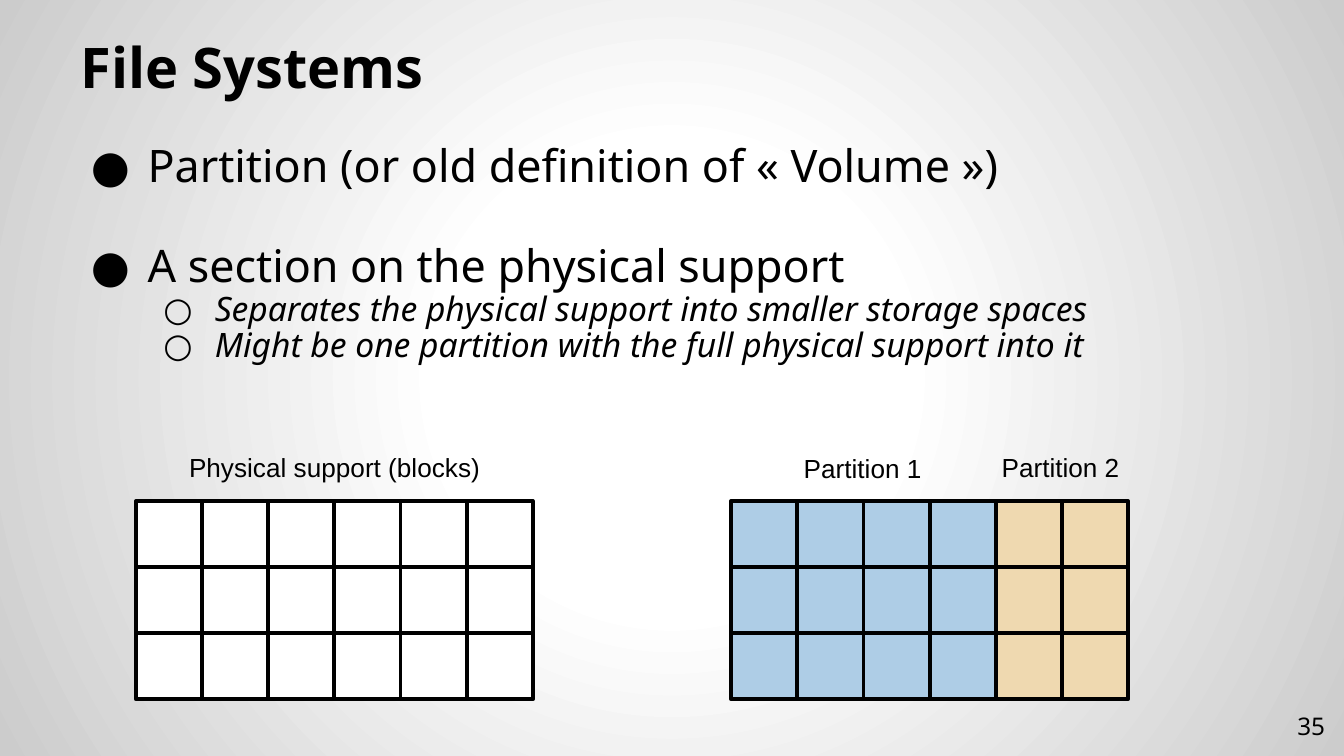
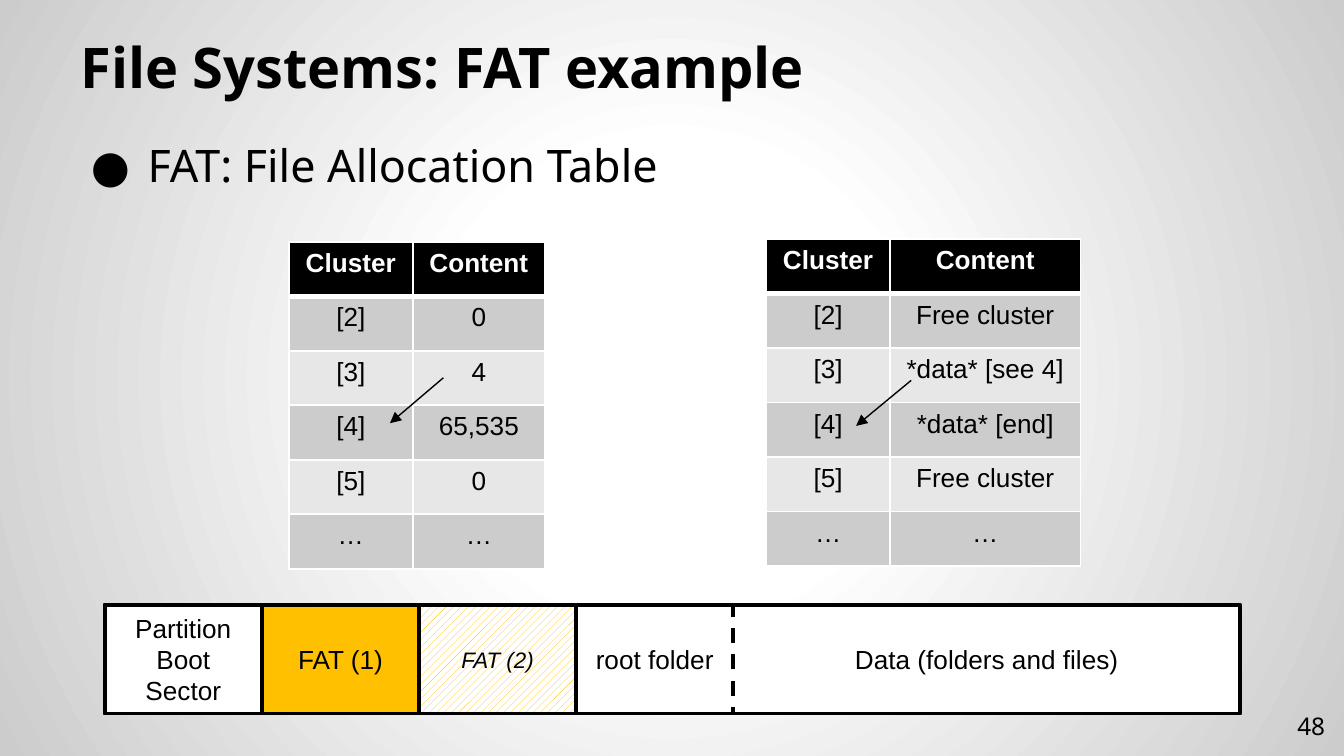
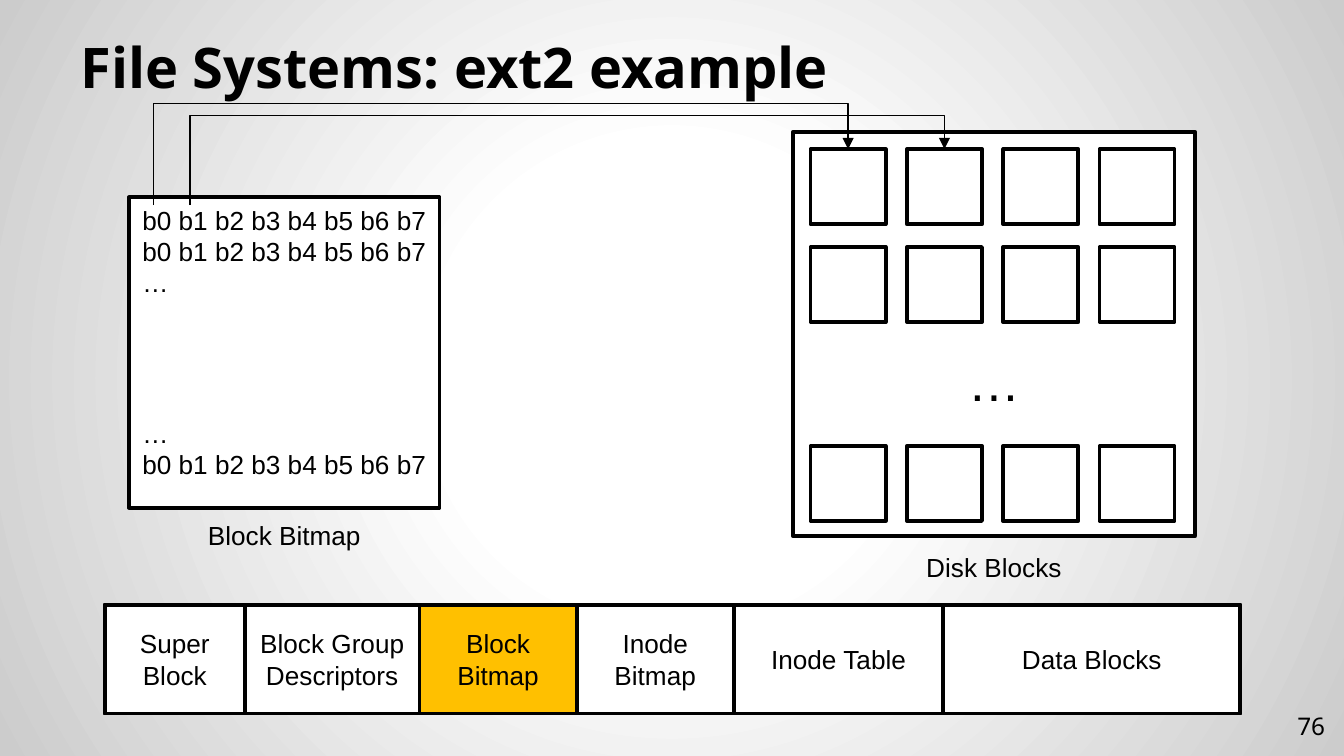
from lxml.etree import SubElement
from pptx import Presentation
from pptx.dml.color import RGBColor
from pptx.enum.dml import MSO_LINE, MSO_PATTERN
from pptx.enum.shapes import MSO_CONNECTOR, MSO_SHAPE
from pptx.enum.text import MSO_ANCHOR, PP_ALIGN
from pptx.oxml.ns import qn
from pptx.util import Cm, Pt

COLORS = {
    "ink": "000000", "paper": "FFFFFF", "edge": "CCCCCC",
    "blue": "AECDE6", "sand": "EFD9B0", "amber": "FFC000",
    "odd row": "CCCCCC", "even row": "E7E7E7",
}
HEADING_FONT, LABEL_FONT = "Noto Sans", "Arial"

# Level, text, space before in points
PARTITION_POINTS = [
    (0, "Partition (or old definition of « Volume »)", 0),
    (0, "A section on the physical support", 28),
    (1, "Separates the physical support into smaller storage spaces", 0),
    (1, "Might be one partition with the full physical support into it", 0),
]
FAT_POINTS = [(0, "FAT: File Allocation Table", 0)]
# Bullet, size, left margin, hanging indent, italic
LEVELS = [("●", 24, 1.27, 1.07, False), ("○", 18, 2.54, 0.97, True)]

# Left edge, fill of each column
BLOCK_GRIDS = [
    (2.57, ["paper"] * 6),
    (13.82, ["blue"] * 4 + ["sand"] * 2),
]
GRID_TOP, GRID_ROWS, CELL = 9.47, 3, 1.25
GRID_LABELS = [
    ("Physical support (blocks)", 2.59, 8.41, 7.47),
    ("Partition 1", 14.12, 8.43, 4.37),
    ("Partition 2", 17.86, 8.41, 4.37),
]

CLUSTERS = ["[2]", "[3]", "[4]", "[5]", "…"]
FAT_TABLES = [
    {"at": (5.46, 4.57), "widths": (2.34, 2.5),
     "content": ["0", "4", "65,535", "0", "…"],
     "arrow": (8.38, 7.14, 7.37, 8.0)},
    {"at": (14.48, 4.52), "widths": (2.34, 3.6),
     "content": ["Free cluster", "*data* [see 4]", "*data* [end]", "Free cluster", "…"],
     "arrow": (17.22, 7.19, 16.18, 8.05)},
]
TABLE_ROW = 1.03

# Text, width, look
FAT_LAYOUT = [
    ("Partition Boot Sector", 2.97, "plain"),
    ("FAT (1)", 2.97, "current"),
    ("FAT (2)", 2.97, "copy"),
    ("root folder", 2.97, "open"),
    ("Data (folders and files)", 9.58, "borderless"),
]
EXT2_LAYOUT = [
    ("Super Block", 2.65, "plain"),
    ("Block Group Descriptors", 3.3, "plain"),
    ("Block Bitmap", 2.97, "current"),
    ("Inode Bitmap", 2.97, "plain"),
    ("Inode Table", 3.96, "plain"),
    ("Data Blocks", 5.61, "plain"),
]
LAYOUT_LEFT, LAYOUT_TOP, LAYOUT_HEIGHT = 1.98, 11.43, 2.06

BITS = "b0 b1 b2 b3 b4 b5 b6 b7"
# Text, space before in points
BITMAP_LINES = [(BITS, 0), (BITS, 0), ("…", 0), ("…", 64), (BITS, 0)]
BITMAP_AT = (2.44, 3.73, 5.87, 5.87)
DISK_AT = (14.99, 2.49, 7.59, 7.65)
DISK_LEFT, DISK_PITCH, DISK_BLOCK = 15.32, 1.82, 1.42
DISK_ROW_TOPS, DISK_COLUMNS = [2.82, 4.67, 8.43], 4
BIT_TOP = 3.88
# x of the bit, height at which its arrow turns
BIT_ARROWS = [(2.9, 1.96), (3.59, 2.19)]


def rgb(name):
    return RGBColor.from_string(COLORS[name])


def add_text(paragraph, text, size, font=LABEL_FONT, color="ink", bold=False, italic=False):
    run = paragraph.add_run()
    run.text = text
    run.font.size, run.font.name = Pt(size), font
    run.font.bold, run.font.italic = bold, italic
    run.font.color.rgb = rgb(color)


def add_frame(shapes, at, anchor=MSO_ANCHOR.TOP, inset=None):
    """Add a wrapping text box and return its text frame."""
    frame = shapes.add_textbox(*map(Cm, at)).text_frame
    frame.word_wrap = True
    frame.vertical_anchor = anchor
    if inset is not None:
        frame.margin_left = frame.margin_right = Cm(inset)
        frame.margin_top = frame.margin_bottom = Cm(inset)
    return frame


def add_label(shapes, text, at, size=14):
    paragraph = add_frame(shapes, at).paragraphs[0]
    paragraph.alignment = PP_ALIGN.CENTER
    add_text(paragraph, text, size)


def add_box(shapes, at, fill="paper", line=True):
    box = shapes.add_shape(MSO_SHAPE.RECTANGLE, *map(Cm, at))
    box.shadow.inherit = False
    if fill:
        box.fill.solid()
        box.fill.fore_color.rgb = rgb(fill)
    else:
        box.fill.background()
    if line:
        box.line.color.rgb = rgb("ink")
        box.line.width = Pt(2)
    else:
        box.line.fill.background()
    return box


def add_arrow(slide, ends, kind=MSO_CONNECTOR.STRAIGHT):
    arrow = slide.shapes.add_connector(kind, *map(Cm, ends))
    arrow.line.color.rgb = rgb("ink")
    arrow.line.width = Pt(0.75)
    properties = arrow.element.spPr
    SubElement(properties.find(qn("a:ln")), qn("a:tailEnd"), type="triangle")
    SubElement(properties, qn("a:effectLst"))
    return arrow


def add_over_arrow(slide, start_x, start_y, end_x, end_y, turn_y):
    """Draw an arrow that rises to turn_y, runs across and drops to its end."""
    arrow = add_arrow(slide, (start_x, start_y, end_x, end_y), MSO_CONNECTOR.ELBOW)
    geometry = arrow.element.spPr.find(qn("a:prstGeom"))
    geometry.set("prst", "bentConnector4")
    guides = geometry.find(qn("a:avLst"))
    if guides is None:
        guides = SubElement(geometry, qn("a:avLst"))
    rise = round((start_y - turn_y) / (start_y - end_y) * 100000)
    for name, value in (("adj1", 0), ("adj2", rise)):
        SubElement(guides, qn("a:gd"), name=name, fmla=f"val {value}")


def set_background(master):
    master.background.fill.gradient()
    gradient = master.element.find(".//" + qn("p:bg")).find(".//" + qn("a:gradFill"))
    for part in list(gradient):
        gradient.remove(part)
    stops = SubElement(gradient, qn("a:gsLst"))
    for percent, color in ((0, "paper"), (30, "paper"), (100, "edge")):
        stop = SubElement(stops, qn("a:gs"), pos=str(percent * 1000))
        SubElement(stop, qn("a:srgbClr"), val=COLORS[color])
    circle = SubElement(gradient, qn("a:path"), path="circle")
    SubElement(circle, qn("a:fillToRect"), l="50000", t="50000", r="50000", b="50000")


def add_slide(deck, title, number):
    slide = deck.slides.add_slide(deck.slide_layouts[6])
    heading = add_frame(slide.shapes, (1.27, 0.58, 22.86, 1.57), MSO_ANCHOR.BOTTOM, 0.25)
    heading.paragraphs[0].line_spacing = 0.9
    add_text(heading.paragraphs[0], title, 30, HEADING_FONT, bold=True)
    footer = add_frame(slide.shapes, (23.77, 13.18, 1.52, 1.09), MSO_ANCHOR.MIDDLE, 0.25)
    footer.paragraphs[0].alignment = PP_ALIGN.RIGHT
    add_text(footer.paragraphs[0], str(number), 13, HEADING_FONT)
    return slide


def add_points(slide, points):
    frame = add_frame(slide.shapes, (1.27, 2.46, 22.86, 11.2), inset=0.25)
    for index, (level, text, space) in enumerate(points):
        bullet, size, margin, hanging, italic = LEVELS[level]
        paragraph = frame.add_paragraph() if index else frame.paragraphs[0]
        paragraph.level = level
        paragraph.line_spacing = 0.9
        paragraph.space_before = Pt(space)
        properties = paragraph._p.get_or_add_pPr()
        properties.set("marL", str(Cm(margin)))
        properties.set("indent", str(-Cm(hanging)))
        color = SubElement(properties, qn("a:buClr"))
        SubElement(color, qn("a:srgbClr"), val=COLORS["ink"])
        SubElement(properties, qn("a:buFont"), typeface=HEADING_FONT)
        SubElement(properties, qn("a:buChar"), char=bullet)
        add_text(paragraph, text, size, HEADING_FONT, italic=italic)


def add_layout(slide, areas):
    """Draw the areas of a partition side by side inside one frame."""
    shapes = slide.shapes.add_group_shape().shapes
    total = sum(width for _, width, _ in areas)
    right = LAYOUT_LEFT + total
    # From right to left, so that a solid edge covers a dashed one
    for text, width, look in reversed(areas):
        right -= width
        box = add_box(shapes, (right, LAYOUT_TOP, width, LAYOUT_HEIGHT),
                      "amber" if look == "current" else "paper", look != "borderless")
        if look == "copy":
            box.fill.patterned()
            box.fill.pattern = MSO_PATTERN.WIDE_UPWARD_DIAGONAL
            box.fill.fore_color.rgb = rgb("amber")
            box.fill.back_color.rgb = rgb("paper")
        elif look == "open":
            box.line.dash_style = MSO_LINE.DASH
        box.text_frame.word_wrap = True
        box.text_frame.vertical_anchor = MSO_ANCHOR.MIDDLE
        paragraph = box.text_frame.paragraphs[0]
        paragraph.alignment = PP_ALIGN.CENTER
        add_text(paragraph, text, 12 if look == "copy" else 14, italic=look == "copy")
    add_box(shapes, (LAYOUT_LEFT, LAYOUT_TOP, total, LAYOUT_HEIGHT), fill=None)


def style_cell(cell, fill, header_edge):
    """Fill a cell and give it white edges; header_edge names its thick side."""
    properties = cell._tc.get_or_add_tcPr()
    for side in ("lnL", "lnR", "lnT", "lnB"):
        width = Pt(3 if side == header_edge else 1)
        edge = SubElement(properties, qn("a:" + side), w=str(width))
        SubElement(SubElement(edge, qn("a:solidFill")), qn("a:srgbClr"), val=COLORS["paper"])
    cell.fill.solid()
    cell.fill.fore_color.rgb = rgb(fill)


def add_fat_table(slide, at, widths, content):
    rows = [("Cluster", "Content"), *zip(CLUSTERS, content)]
    size = (sum(widths), TABLE_ROW * len(rows))
    table = slide.shapes.add_table(len(rows), len(widths), *map(Cm, at + size)).table
    for column, width in zip(table.columns, widths):
        column.width = Cm(width)
    for r, texts in enumerate(rows):
        table.rows[r].height = Cm(TABLE_ROW)
        header = r == 0
        fill = "ink" if header else "odd row" if r % 2 else "even row"
        header_edge = {0: "lnB", 1: "lnT"}.get(r)
        for c, text in enumerate(texts):
            cell = table.cell(r, c)
            style_cell(cell, fill, header_edge)
            paragraph = cell.text_frame.paragraphs[0]
            paragraph.alignment = PP_ALIGN.CENTER
            add_text(paragraph, text, 14, color="paper" if header else "ink", bold=header)


def build_partitions(deck):
    slide = add_slide(deck, "File Systems", 35)
    add_points(slide, PARTITION_POINTS)
    for left, fills in BLOCK_GRIDS:
        shapes = slide.shapes.add_group_shape().shapes
        for row in range(GRID_ROWS):
            for column, fill in enumerate(fills):
                add_box(shapes, (left + column * CELL, GRID_TOP + row * CELL, CELL, CELL), fill)
    for text, left, top, width in GRID_LABELS:
        add_label(slide.shapes, text, (left, top, width, 0.86))


def build_fat(deck):
    slide = add_slide(deck, "File Systems: FAT example", 48)
    add_points(slide, FAT_POINTS)
    add_layout(slide, FAT_LAYOUT)
    for table in FAT_TABLES:
        add_fat_table(slide, table["at"], table["widths"], table["content"])
        add_arrow(slide, table["arrow"])


def build_ext2(deck):
    slide = add_slide(deck, "File Systems: ext2 example", 76)
    add_layout(slide, EXT2_LAYOUT)

    bitmap = slide.shapes.add_group_shape().shapes
    frame = add_box(bitmap, BITMAP_AT).text_frame
    frame.word_wrap = True
    frame.vertical_anchor = MSO_ANCHOR.TOP
    for index, (text, space) in enumerate(BITMAP_LINES):
        paragraph = frame.add_paragraph() if index else frame.paragraphs[0]
        paragraph.alignment = PP_ALIGN.LEFT
        paragraph.space_before = Pt(space)
        add_text(paragraph, text, 14)
    add_label(bitmap, "Block Bitmap", (2.44, 9.7, 5.87, 0.86))

    disk = slide.shapes.add_group_shape().shapes
    add_label(disk, "Disk Blocks", (15.85, 10.29, 5.87, 0.86))
    add_box(disk, DISK_AT)
    for top in DISK_ROW_TOPS:
        for column in range(DISK_COLUMNS):
            add_box(disk, (DISK_LEFT + column * DISK_PITCH, top, DISK_BLOCK, DISK_BLOCK))
    add_label(disk, "…", (14.99, 6.48, 7.59, 1.45), size=28)

    for column, (bit_x, turn_y) in enumerate(BIT_ARROWS):
        block_x = DISK_LEFT + column * DISK_PITCH + DISK_BLOCK / 2
        add_over_arrow(slide, bit_x, BIT_TOP, block_x, DISK_ROW_TOPS[0], turn_y)


def main():
    deck = Presentation()
    deck.slide_width, deck.slide_height = Cm(25.4), Cm(14.29)
    set_background(deck.slide_master)
    build_partitions(deck)
    build_fat(deck)
    build_ext2(deck)
    deck.save("out.pptx")


if __name__ == "__main__":
    main()
